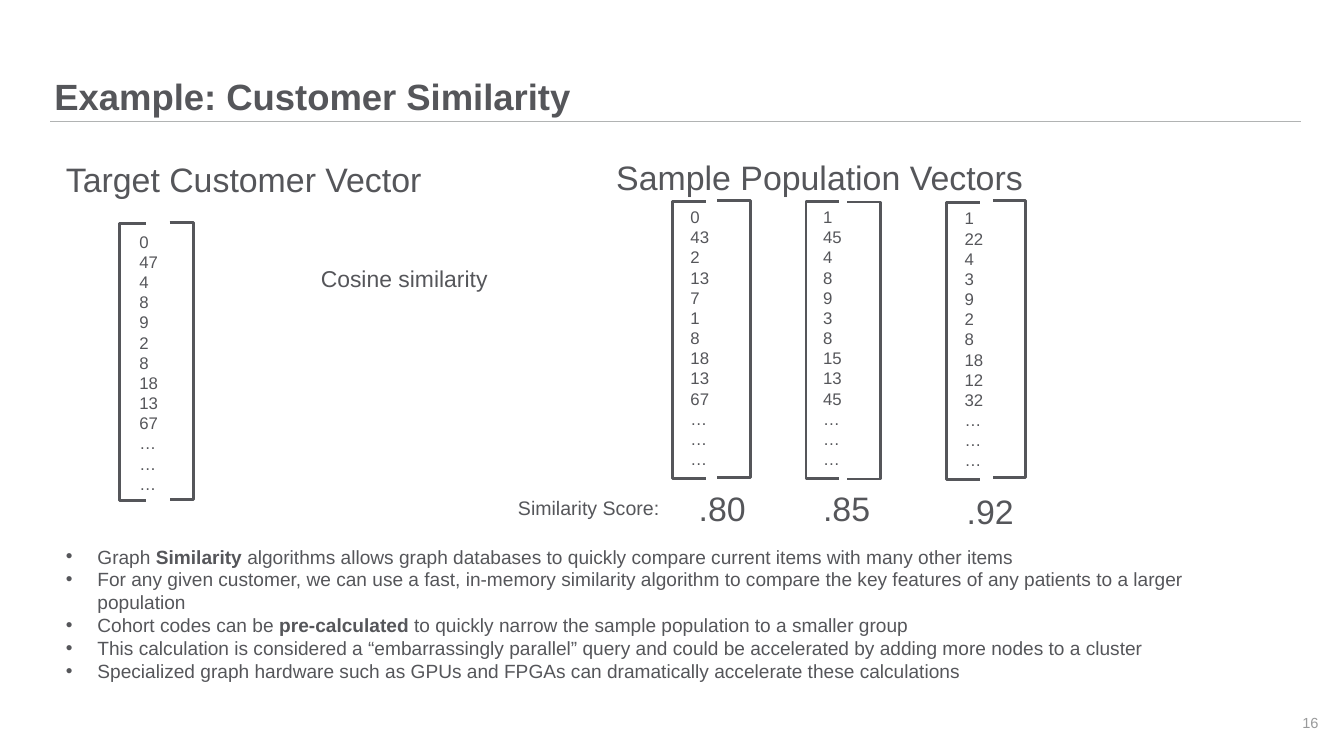
from lxml import etree
from pptx import Presentation, util as u
from pptx.dml.color import RGBColor
from pptx.enum import shapes, text
from pptx.oxml.ns import qn

SCALE = 9144  # one px is a hundredth of an inch
FONT = "Arial"
INK = RGBColor(0x55, 0x56, 0x5A)
RULE = RGBColor(0xB1, 0xB3, 0xB3)
PALE = RGBColor(0x99, 0x9A, 0x9B)

TITLE = "Example: Customer Similarity"
# words, size, box
LABELS = [
    ("Target Customer Vector", 35.5, (86, 226, 543, 70)),
    ("Sample Population Vectors", 35.5, (887, 223, 618, 70)),
    ("Cosine similarity", 24, (457, 380, 266, 50)),
    ("Similarity Score:", 20.5, (744, 717, 228, 45)),
    (".80", 35.5, (1007, 704, 89, 70)),
    (".85", 35.5, (1188, 704, 89, 70)),
    (".92", 35.5, (1397, 709, 89, 70)),
]
# values, text box (left, top, width), left bracket, right bracket (left, top, width)
VECTORS = [
    ("0 47 4 8 9 2 8 18 13 67 … … …", (193, 332, 50), (174, 325, 38), (247, 324, 35)),
    ("0 43 2 13 7 1 8 18 13 67 … … …", (995, 296, 50), (979, 293, 48), (1044, 292, 48)),
    ("1 45 4 8 9 3 8 15 13 45 … … …", (1188, 296, 76), (1173, 293, 48), (1233, 294, 48)),
    ("1 22 4 3 9 2 8 18 12 32 … … …", (1394, 298, 50), (1378, 295, 48), (1445, 292, 48)),
]
# every second piece is bold
POINTS = [
    ["Graph ", "Similarity", " algorithms allows graph databases to quickly compare "
     "current items with many other items"],
    ["For any given customer, we can use a fast, in-memory similarity algorithm to "
     "compare the key features of any patients to a larger population"],
    ["Cohort codes can be ", "pre-calculated",
     " to quickly narrow the sample population to a smaller group"],
    ["This calculation is considered a “embarrassingly parallel” query and could be "
     "accelerated by adding more nodes to a cluster"],
    ["Specialized graph hardware such as GPUs and FPGAs can dramatically accelerate "
     "these calculations"],
]


def px(*nums):
    return [u.Emu(n * SCALE) for n in nums]


def bullet(para, indent):
    props = para._p.get_or_add_pPr()
    props.set("marL", str(indent * SCALE))
    props.set("indent", str(-indent * SCALE))
    etree.SubElement(props, qn("a:buFont")).set("typeface", FONT)
    etree.SubElement(props, qn("a:buChar")).set("char", "•")


def write(slide, box, paras, size, color=INK, wrap=True, inset=True, bold=False,
          anchor=text.MSO_ANCHOR.TOP, align=text.PP_ALIGN.LEFT, space=1, indent=0):
    """Add a text box; each paragraph is a list of runs, plain and bold in turn."""
    frame = slide.shapes.add_textbox(*px(*box)).text_frame
    frame.word_wrap = wrap
    frame.vertical_anchor = anchor
    if not inset:
        frame.margin_left = frame.margin_right = 0
        frame.margin_top = frame.margin_bottom = 0
    for i, runs in enumerate(paras):
        para = frame.add_paragraph() if i else frame.paragraphs[0]
        para.alignment = align
        para.line_spacing = space
        if indent:
            bullet(para, indent)
        for j, words in enumerate(runs):
            run = para.add_run()
            run.text = words
            run.font.name = FONT
            run.font.size = u.Pt(size)
            run.font.bold = bold or j % 2 == 1
            run.font.color.rgb = color


def bracket(slide, kind, spot):
    left, top, width = spot
    shape = slide.shapes.add_shape(kind, *px(left, top, width, 403))
    shape.adjustments[0] = 0
    shape.shadow.inherit = False
    shape.fill.background()
    shape.line.color.rgb = INK
    shape.line.width = u.Pt(3)


def main():
    deck = Presentation()
    deck.slide_width, deck.slide_height = px(1956, 1100)
    slide = deck.slides.add_slide(deck.slide_layouts[6])

    rule = slide.shapes.add_connector(shapes.MSO_CONNECTOR.STRAIGHT, *px(73, 177, 1894, 177))
    rule.line.color.rgb = RULE
    rule.line.width = u.Pt(1)
    etree.SubElement(rule._element.spPr, qn("a:effectLst"))

    write(slide, (79, 0, 1815, 172), [[TITLE]], 38.2, inset=False, bold=True,
          anchor=text.MSO_ANCHOR.BOTTOM, space=0.9)
    write(slide, (1479, 1022, 440, 59), [["16"]], 15.3, PALE, inset=False,
          anchor=text.MSO_ANCHOR.MIDDLE, align=text.PP_ALIGN.RIGHT)
    write(slide, (86, 788, 1707, 212), POINTS, 20, indent=46)
    for words, size, box in LABELS:
        write(slide, box, [[words]], size, wrap=False)
    for values, box, left, right in VECTORS:
        bracket(slide, shapes.MSO_SHAPE.LEFT_BRACKET, left)
        bracket(slide, shapes.MSO_SHAPE.RIGHT_BRACKET, right)
        write(slide, (*box, 395), [[v] for v in values.split()], 17.6)

    deck.save("out.pptx")


if __name__ == "__main__":
    main()
